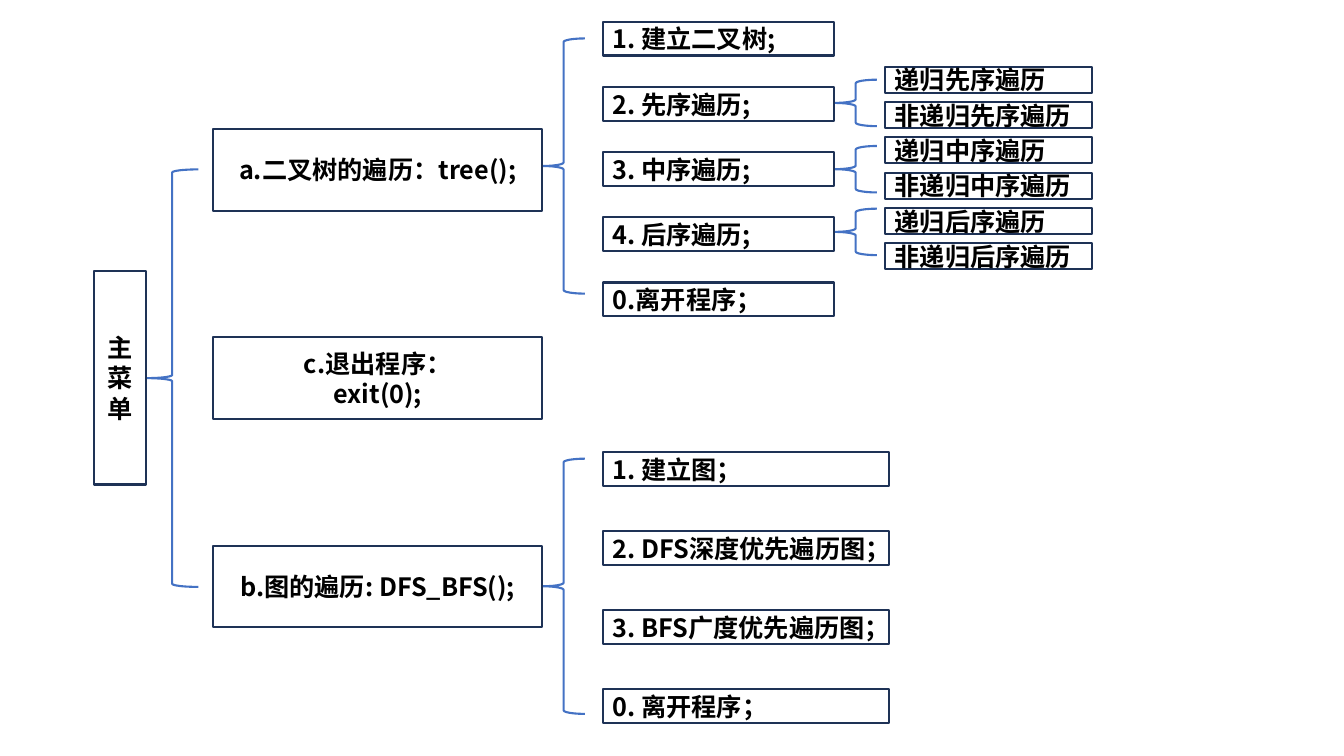
from typing import NamedTuple

from pptx import Presentation
from pptx.dml.color import RGBColor
from pptx.enum.shapes import MSO_SHAPE
from pptx.enum.text import MSO_ANCHOR, PP_ALIGN
from pptx.oxml.ns import qn
from pptx.util import Cm, Pt

RECTANGLE, LEFT_BRACE = MSO_SHAPE.RECTANGLE, MSO_SHAPE.LEFT_BRACE
LEFT, CENTER = PP_ALIGN.LEFT, PP_ALIGN.CENTER
MIDDLE = MSO_ANCHOR.MIDDLE
FONT = "Noto Sans CJK SC"
COLORS = {"text": "000000", "box": "1E3256", "brace": "4472C4"}


class Column(NamedTuple):
    """Equally spaced boxes, in centimetres."""
    left: float
    top: float
    width: float
    height: float
    step: float
    align: PP_ALIGN
    labels: list[str]


class Brace(NamedTuple):
    """A brace joining a box to its children, in centimetres."""
    left: float
    top: float
    width: float
    height: float
    curve: float = 0.083


COLUMNS = [
    # Main menu and its branches
    Column(2.36, 6.83, 1.32, 5.38, 0, CENTER, ["主\n菜\n单"]),
    Column(5.38, 3.25, 8.28, 2.06, 5.25, CENTER, [
        "a.二叉树的遍历：tree();",
        "c.退出程序：\nexit(0);",
        "b.图的遍历: DFS_BFS();",
    ]),
    # Binary tree menu
    Column(15.19, 0.56, 5.82, 0.84, 1.64, LEFT, [
        "1. 建立二叉树;", "2. 先序遍历;", "3. 中序遍历;",
        "4. 后序遍历;", "0.离开程序；",
    ]),
    # Graph menu
    Column(15.19, 11.4, 7.21, 0.84, 1.99, LEFT, [
        "1. 建立图；", "2. DFS深度优先遍历图；",
        "3. BFS广度优先遍历图；", "0. 离开程序；",
    ]),
    # Two variants of each tree traversal
    Column(22.3, 1.68, 5.23, 0.66, 0.89, LEFT, [
        f"{variant}{order}序遍历"
        for order in "先中后" for variant in ("递归", "非递归")
    ]),
]

BRACES = [
    Brace(3.68, 4.27, 1.32, 10.52, curve=0.059),
    *(Brace(13.67, top, 1.07, 6.43) for top in (0.97, 11.56)),
    *(Brace(21.03, top, 1.07, 1.17) for top in (2.01, 3.68, 5.26)),
]


def add_outline(slide, kind, left, top, width, height, color: str):
    outline = slide.shapes.add_shape(
        kind, Cm(left), Cm(top), Cm(width), Cm(height))
    outline.shadow.inherit = False
    outline.fill.background()
    outline.line.color.rgb = RGBColor.from_string(color)
    outline.line.width = Pt(1.5)
    return outline


def write_text(frame, text: str, *, align=LEFT, size: float = 18,
               bold: bool = True, color: str = COLORS["text"]) -> None:
    frame.word_wrap = True
    frame.vertical_anchor = MIDDLE
    for index, line in enumerate(text.split("\n")):
        paragraph = frame.add_paragraph() if index else frame.paragraphs[0]
        paragraph.alignment = align
        run = paragraph.add_run()
        run.text = line
        run.font.size = Pt(size)
        run.font.bold = bold
        run.font.color.rgb = RGBColor.from_string(color)
        run.font.name = FONT
        # East Asian characters take their own typeface element
        east_asian = run.font._element.makeelement(
            qn("a:ea"), {"typeface": FONT})
        run.font._element.find(qn("a:latin")).addnext(east_asian)


def draw_column(slide, column: Column) -> None:
    for row, label in enumerate(column.labels):
        box = add_outline(slide, RECTANGLE, column.left,
                          column.top + row * column.step,
                          column.width, column.height, COLORS["box"])
        write_text(box.text_frame, label, align=column.align)


def draw_brace(slide, brace: Brace) -> None:
    outline = add_outline(slide, LEFT_BRACE, brace.left, brace.top,
                          brace.width, brace.height, COLORS["brace"])
    outline.adjustments[0] = brace.curve


def main() -> None:
    deck = Presentation()
    deck.slide_width, deck.slide_height = Cm(33.87), Cm(19.05)
    slide = deck.slides.add_slide(deck.slide_layouts[6])
    for brace in BRACES:
        draw_brace(slide, brace)
    for column in COLUMNS:
        draw_column(slide, column)
    deck.save("out.pptx")


if __name__ == "__main__":
    main()
